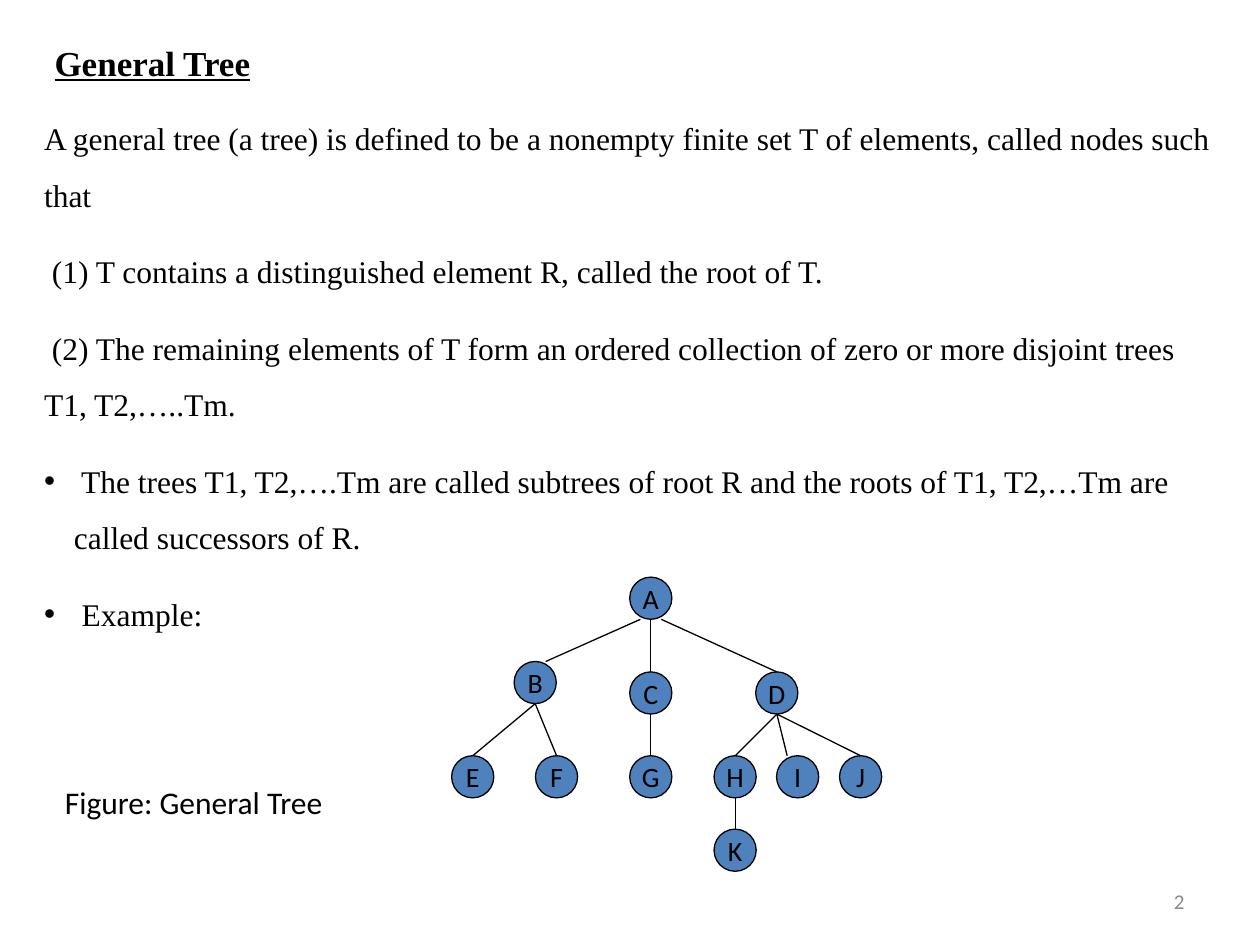
from dataclasses import dataclass

from lxml.etree import SubElement
from pptx import Presentation
from pptx.dml.color import RGBColor
from pptx.enum.shapes import MSO_CONNECTOR as Connector, MSO_SHAPE as Shape
from pptx.enum.text import MSO_ANCHOR as Anchor, MSO_AUTO_SIZE as AutoSize, PP_ALIGN as Align
from pptx.oxml.ns import qn
from pptx.util import Cm, Pt

COLORS = {"text": "000000", "line": "000000", "node": "4F81BD", "number": "898989"}
SERIF = "Times New Roman"
SANS = "Calibri"
NODE_SIZE = 0.85
LINE_WIDTH = Pt(0.75)
BULLET_INDENT = Cm(0.6)
SIDE = 0.21  # sideways shift of an edge end that misses the node's centre


@dataclass(frozen=True)
class Node:
    """A tree node, placed by its centre in cm."""
    label: str
    x: float
    y: float


@dataclass(frozen=True)
class Edge:
    parent: str
    child: str
    parent_shift: float = 0
    child_shift: float = 0


@dataclass(frozen=True)
class Label:
    """A one-paragraph text box, measured in cm."""
    text: str
    left: float
    top: float
    width: float
    height: float
    size: int
    font: str = SANS
    color: str = "text"
    anchor: Anchor = Anchor.TOP
    align: Align = Align.LEFT
    heading: bool = False


LABELS = [
    Label("General Tree", 0.85, 0.7, 22.66, 1.11, 20, SERIF, anchor=Anchor.MIDDLE, heading=True),
    Label("Figure: General Tree", 1.06, 15.66, 7.2, 1.03, 18),
    Label("2", 18.2, 17.65, 5.93, 1.02, 12, color="number", anchor=Anchor.MIDDLE,
          align=Align.RIGHT),
]

DEFINITION = [
    "A general tree (a tree) is defined to be a nonempty finite set T of elements, "
    "called nodes such that",
    " (1) T contains a distinguished element R, called the root of T.",
    " (2) The remaining elements of T form an ordered collection of zero or more "
    "disjoint trees T1, T2,…..Tm.",
]
BULLETS = [
    " The trees T1, T2,….Tm are called subtrees of root R and the roots of "
    "T1, T2,…Tm are called successors of R.",
    " Example:",
]

LEAF_ROW = 15.66
NODES = [
    Node("A", 13.12, 12.06),
    Node("B", 10.79, 13.76),
    Node("C", 13.12, 13.97),
    Node("D", 15.66, 13.97),
    Node("E", 9.53, LEAF_ROW),
    Node("F", 11.22, LEAF_ROW),
    Node("G", 13.12, LEAF_ROW),
    Node("H", 14.82, LEAF_ROW),
    Node("I", 16.08, LEAF_ROW),
    Node("J", 17.35, LEAF_ROW),
    Node("K", 14.82, 17.14),
]
EDGES = [
    Edge("A", "B", -SIDE, SIDE),
    Edge("A", "C"),
    Edge("A", "D", SIDE),
    Edge("B", "E"),
    Edge("B", "F"),
    Edge("C", "G"),
    Edge("D", "H"),
    Edge("D", "I", 0, -SIDE),
    Edge("D", "J"),
    Edge("H", "K"),
]


def color(name: str) -> RGBColor:
    return RGBColor.from_string(COLORS[name])


def style_font(paragraph, name: str, size: int, color_name: str = "text") -> None:
    paragraph.font.name = name
    paragraph.font.size = Pt(size)
    paragraph.font.color.rgb = color(color_name)


def add_label(slide, label: Label) -> None:
    box = slide.shapes.add_textbox(
        Cm(label.left), Cm(label.top), Cm(label.width), Cm(label.height))
    frame = box.text_frame
    frame.word_wrap = True
    frame.vertical_anchor = label.anchor
    paragraph = frame.paragraphs[0]
    paragraph.text = label.text
    paragraph.alignment = label.align
    style_font(paragraph, label.font, label.size, label.color)
    if label.heading:
        paragraph.font.bold = True
        paragraph.font.underline = True


def add_bullet(paragraph) -> None:
    properties = paragraph._p.get_or_add_pPr()
    properties.set("marL", str(BULLET_INDENT))
    properties.set("indent", str(-BULLET_INDENT))
    SubElement(properties, qn("a:buFont"), typeface="Arial")
    SubElement(properties, qn("a:buChar"), char="•")


def add_body(slide) -> None:
    box = slide.shapes.add_textbox(Cm(0.64), Cm(1.9), Cm(24.13), Cm(12.52))
    frame = box.text_frame
    frame.word_wrap = True
    frame.auto_size = AutoSize.SHAPE_TO_FIT_TEXT
    for index, text in enumerate(DEFINITION + BULLETS):
        paragraph = frame.add_paragraph() if index else frame.paragraphs[0]
        paragraph.text = text
        paragraph.line_spacing = 1.5
        paragraph.space_before = Pt(11.2)
        style_font(paragraph, SERIF, 18)
        if text in BULLETS:
            add_bullet(paragraph)


def add_node(group, node: Node) -> None:
    radius = NODE_SIZE / 2
    circle = group.shapes.add_shape(
        Shape.OVAL, Cm(node.x - radius), Cm(node.y - radius), Cm(NODE_SIZE), Cm(NODE_SIZE))
    circle.shadow.inherit = False
    circle.fill.solid()
    circle.fill.fore_color.rgb = color("node")
    circle.line.color.rgb = color("line")
    circle.line.width = LINE_WIDTH
    frame = circle.text_frame
    frame.word_wrap = False
    frame.vertical_anchor = Anchor.MIDDLE
    paragraph = frame.paragraphs[0]
    paragraph.text = node.label
    paragraph.alignment = Align.CENTER
    style_font(paragraph, SANS, 16)


def add_edge(group, edge: Edge, nodes: dict[str, Node]) -> None:
    """Join the bottom of the parent to the top of the child."""
    parent, child = nodes[edge.parent], nodes[edge.child]
    line = group.shapes.add_connector(
        Connector.STRAIGHT,
        Cm(parent.x + edge.parent_shift), Cm(parent.y + NODE_SIZE / 2),
        Cm(child.x + edge.child_shift), Cm(child.y - NODE_SIZE / 2))
    line.line.color.rgb = color("line")
    line.line.width = LINE_WIDTH
    SubElement(line._element.spPr, qn("a:effectLst"))


def add_tree(slide) -> None:
    group = slide.shapes.add_group_shape()
    for node in NODES:
        add_node(group, node)
    nodes = {node.label: node for node in NODES}
    for edge in EDGES:
        add_edge(group, edge, nodes)


def main() -> None:
    presentation = Presentation()
    presentation.slide_width = Cm(25.4)
    presentation.slide_height = Cm(19.05)
    slide = presentation.slides.add_slide(presentation.slide_layouts[6])
    heading, caption, number = LABELS
    add_label(slide, heading)
    add_body(slide)
    add_tree(slide)
    add_label(slide, caption)
    add_label(slide, number)
    presentation.save("out.pptx")


if __name__ == "__main__":
    main()
